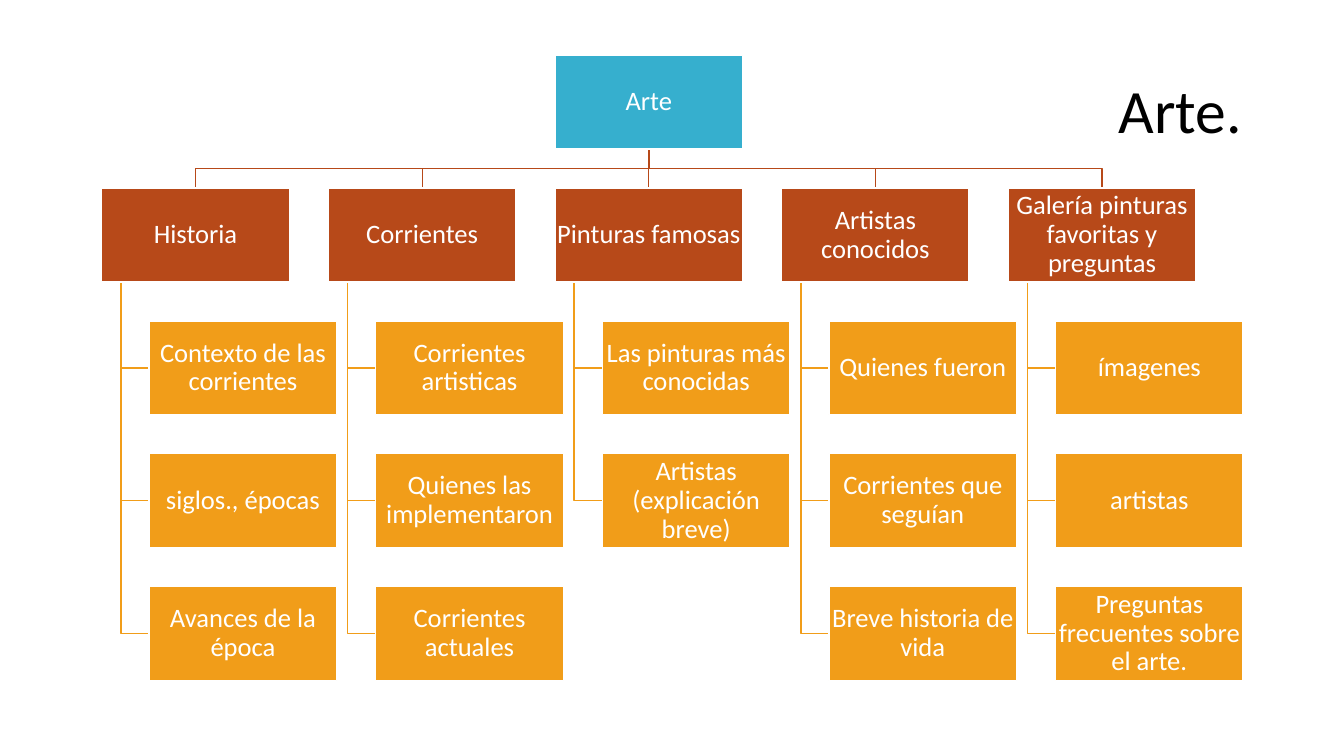
from collections import namedtuple

from pptx import Presentation
from pptx.dml.color import RGBColor
from pptx.enum.shapes import MSO_SHAPE
from pptx.enum.text import MSO_ANCHOR, PP_ALIGN
from pptx.util import Inches, Pt

COLORS = {"root": "36AFCE", "branch": "B74919", "leaf": "F19D19",
          "white": "FFFFFF", "black": "000000"}
FONT = "Calibri"
NODE_WIDTH, NODE_HEIGHT = 1.86, 0.93
LEAF_INDENT = 0.47   # leaf offset from its branch
TRUNK_INDENT = 0.19  # vertical line offset from its branch
LEVELS = 5

Box = namedtuple("Box", "left top width height")

BRANCHES = {
    "Historia": ["Contexto de las corrientes", "siglos., épocas",
                 "Avances de la época"],
    "Corrientes": ["Corrientes artisticas", "Quienes las implementaron",
                   "Corrientes actuales"],
    "Pinturas famosas": ["Las pinturas más conocidas",
                         "Artistas (explicación breve)"],
    "Artistas conocidos": ["Quienes fueron", "Corrientes que seguían",
                           "Breve historia de vida"],
    "Galería pinturas favoritas y preguntas": [
        "ímagenes", "artistas", "Preguntas frecuentes sobre el arte."],
}


def color(name):
    return RGBColor.from_string(COLORS[name])


def write_text(shape, text, size=19, ink="white", align=PP_ALIGN.CENTER, inset=0.01):
    frame = shape.text_frame
    frame.word_wrap = True
    frame.vertical_anchor = MSO_ANCHOR.MIDDLE
    frame.margin_left = frame.margin_right = Inches(inset)
    frame.margin_top = frame.margin_bottom = Inches(inset)
    para = frame.paragraphs[0]
    para.alignment = align
    para.line_spacing = 0.9
    span = para.add_run()
    span.text = text
    span.font.name = FONT
    span.font.size = Pt(size)
    span.font.color.rgb = color(ink)


def add_node(page, left, top, text, fill):
    node = page.shapes.add_shape(MSO_SHAPE.RECTANGLE, Inches(left), Inches(top),
                                 Inches(NODE_WIDTH), Inches(NODE_HEIGHT))
    node.shadow.inherit = False
    node.fill.solid()
    node.fill.fore_color.rgb = color(fill)
    node.line.color.rgb = color("white")
    node.line.width = Pt(1)
    write_text(node, text)


def add_link(page, points, ink):
    start, *rest = [(Inches(x), Inches(y)) for x, y in points]
    builder = page.shapes.build_freeform(*start)
    builder.add_line_segments(rest, close=False)
    link = builder.convert_to_shape()
    link.shadow.inherit = False
    link.fill.background()
    link.line.color.rgb = color(ink)
    link.line.width = Pt(1)


def add_title(page, box, text):
    title = page.shapes.add_textbox(*(Inches(side) for side in box))
    write_text(title, text, size=44, ink="black", align=PP_ALIGN.RIGHT, inset=0.1)


def add_branch(page, box, step, name, leaves):
    """Branch node at the top of the box, its leaves hung below."""
    trunk = box.left + TRUNK_INDENT
    leaf_left = box.left + LEAF_INDENT
    for row, leaf in enumerate(leaves, start=1):
        leaf_top = box.top + row * step
        middle = leaf_top + NODE_HEIGHT / 2
        add_link(page, [(trunk, box.top + NODE_HEIGHT), (trunk, middle),
                        (leaf_left, middle)], "leaf")
        add_node(page, leaf_left, leaf_top, leaf, "leaf")
    add_node(page, box.left, box.top, name, "branch")


def add_tree(page, box, root, branches):
    column_step = (box.width - LEAF_INDENT - NODE_WIDTH) / (len(branches) - 1)
    row_step = (box.height - NODE_HEIGHT) / (LEVELS - 1)
    root_left = box.left + column_step * (len(branches) - 1) / 2
    root_center = root_left + NODE_WIDTH / 2
    root_bottom = box.top + NODE_HEIGHT
    branch_top = box.top + row_step
    rail = (root_bottom + branch_top) / 2

    for column, (name, leaves) in enumerate(branches.items()):
        left = box.left + column * column_step
        center = left + NODE_WIDTH / 2
        # Line from the root to this branch
        points = [(root_center, root_bottom), (root_center, rail),
                  (center, rail), (center, branch_top)]
        add_link(page, points, "branch")
        branch_box = Box(left, branch_top, NODE_WIDTH + LEAF_INDENT,
                         box.height - row_step)
        add_branch(page, branch_box, row_step, name, leaves)
    add_node(page, root_left, box.top, root, "root")


deck = Presentation()
deck.slide_width, deck.slide_height = Inches(13.33), Inches(7.5)
page = deck.slides.add_slide(deck.slide_layouts[6])
add_title(page, Box(0.92, 0.4, 11.5, 1.45), "Arte.")
add_tree(page, Box(1.01, 0.55, 11.32, 6.2), "Arte", BRANCHES)
deck.save("out.pptx")
